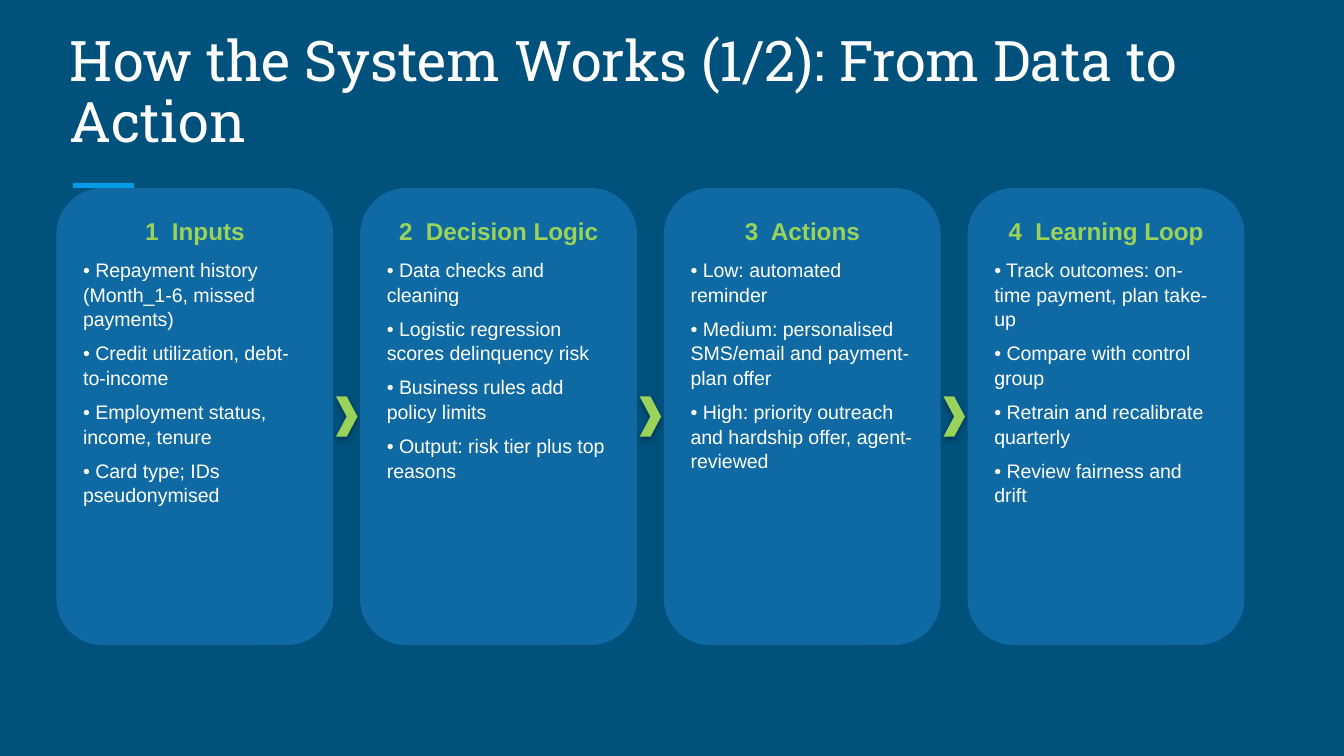
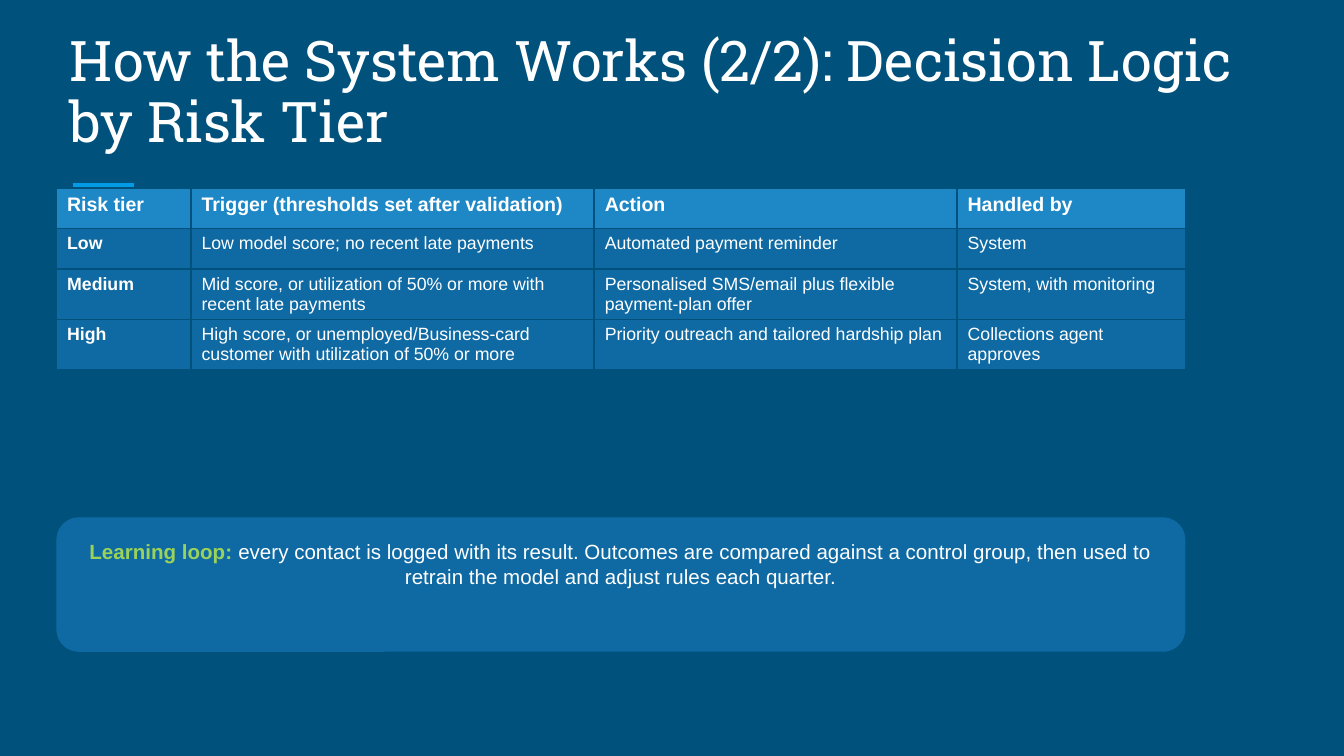
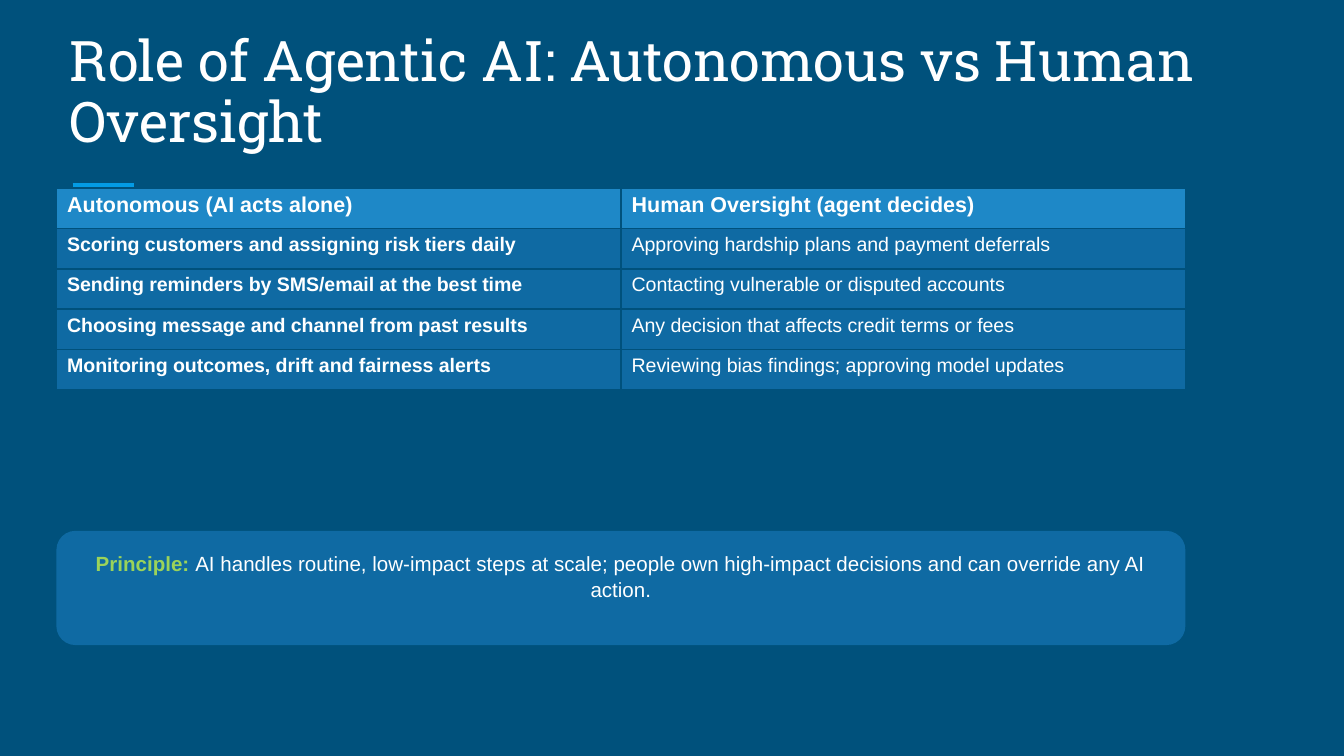
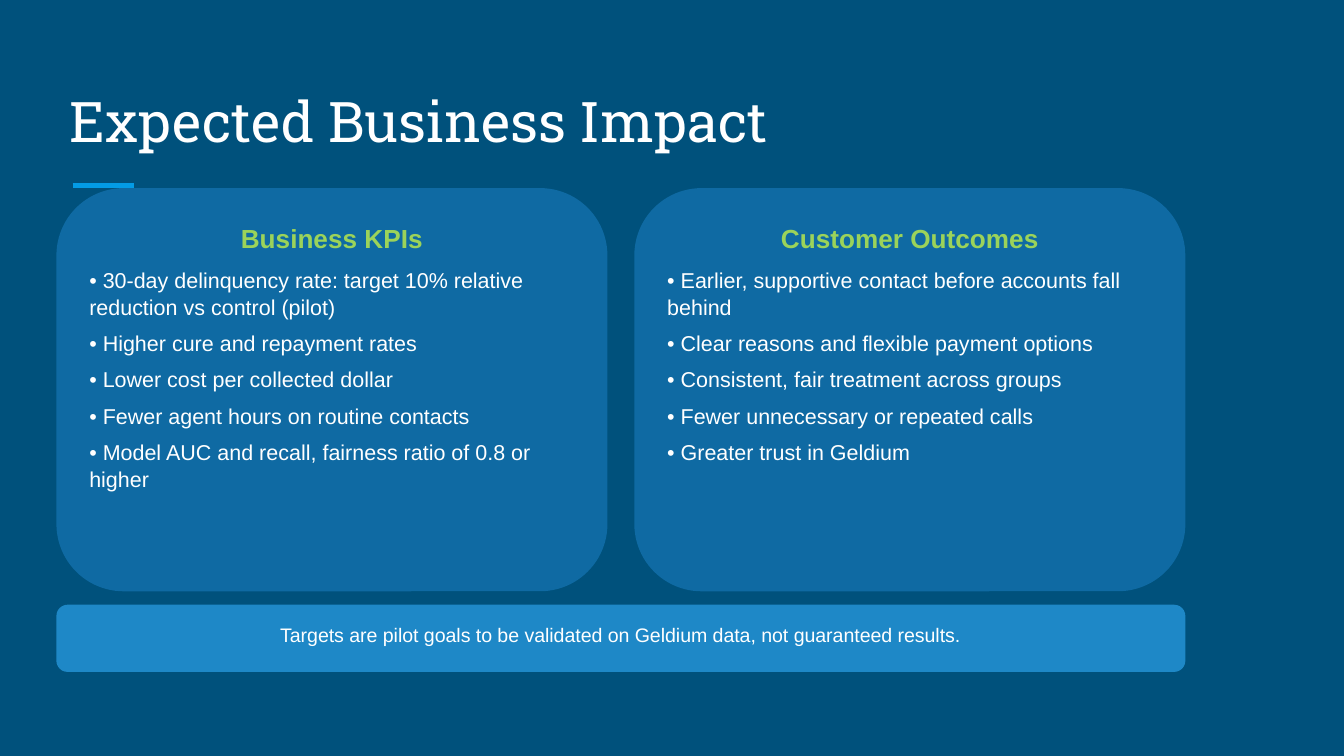
"""Build four slides on a delinquency decision system: flow, tiers, oversight and impact."""
from lxml.etree import SubElement
from pptx import Presentation
from pptx.dml.color import RGBColor
from pptx.enum.shapes import MSO_CONNECTOR, MSO_SHAPE
from pptx.enum.text import MSO_ANCHOR, MSO_AUTO_SIZE, PP_ALIGN
from pptx.oxml.ns import qn
from pptx.util import Inches, Pt

COLORS = {"bg": "00517C", "panel": "0F6AA3", "band": "1E88C7",
          "accent": "039BE5", "lime": "9BD35A", "text": "FFFFFF"}
LEFT, TOP, WIDTH = 0.42, 1.4, 8.4
ROW_H = 0.3

FLOW = [
    ("1  Inputs", ["Repayment history (Month_1-6, missed payments)",
                   "Credit utilization, debt-to-income",
                   "Employment status, income, tenure",
                   "Card type; IDs pseudonymised"]),
    ("2  Decision Logic", ["Data checks and cleaning",
                           "Logistic regression scores delinquency risk",
                           "Business rules add policy limits",
                           "Output: risk tier plus top reasons"]),
    ("3  Actions", ["Low: automated reminder",
                    "Medium: personalised SMS/email and payment-plan offer",
                    "High: priority outreach and hardship offer, agent-reviewed"]),
    ("4  Learning Loop", ["Track outcomes: on-time payment, plan take-up",
                          "Compare with control group",
                          "Retrain and recalibrate quarterly",
                          "Review fairness and drift"]),
]
TIERS = [
    ("Risk tier", "Trigger (thresholds set after validation)", "Action", "Handled by"),
    ("Low", "Low model score; no recent late payments",
     "Automated payment reminder", "System"),
    ("Medium", "Mid score, or utilization of 50% or more with recent late payments",
     "Personalised SMS/email plus flexible payment-plan offer", "System, with monitoring"),
    ("High", "High score, or unemployed/Business-card customer with utilization of 50% or more",
     "Priority outreach and tailored hardship plan", "Collections agent approves"),
]
ROLES = [
    ("Autonomous (AI acts alone)", "Human Oversight (agent decides)"),
    ("Scoring customers and assigning risk tiers daily",
     "Approving hardship plans and payment deferrals"),
    ("Sending reminders by SMS/email at the best time",
     "Contacting vulnerable or disputed accounts"),
    ("Choosing message and channel from past results",
     "Any decision that affects credit terms or fees"),
    ("Monitoring outcomes, drift and fairness alerts",
     "Reviewing bias findings; approving model updates"),
]
IMPACT = [
    ("Business KPIs", ["30-day delinquency rate: target 10% relative reduction vs control (pilot)",
                       "Higher cure and repayment rates",
                       "Lower cost per collected dollar",
                       "Fewer agent hours on routine contacts",
                       "Model AUC and recall, fairness ratio of 0.8 or higher"]),
    ("Customer Outcomes", ["Earlier, supportive contact before accounts fall behind",
                           "Clear reasons and flexible payment options",
                           "Consistent, fair treatment across groups",
                           "Fewer unnecessary or repeated calls",
                           "Greater trust in Geldium"]),
]
SLIDES = [
    {"title": "How the System Works (1/2): From Data to Action",
     "cards": {"items": FLOW, "w": 2.06, "h": 3.4, "sizes": (13, 10.5), "arrows": True}},
    {"title": "How the System Works (2/2): Decision Logic by Risk Tier",
     "table": {"rows": TIERS, "cols": (1, 3, 2.7, 1.7), "sizes": (10.5, 9.5)},
     "note": {"lead": "Learning loop: ", "size": 11, "y": 3.85, "h": 1, "fill": "panel",
              "text": "every contact is logged with its result. Outcomes are compared against "
                      "a control group, then used to retrain the model and adjust rules each quarter."}},
    {"title": "Role of Agentic AI: Autonomous vs Human Oversight",
     "table": {"rows": ROLES, "cols": (4.2, 4.2), "sizes": (11.5, 10.5)},
     "note": {"lead": "Principle: ", "size": 11, "y": 3.95, "h": 0.85, "fill": "panel",
              "text": "AI handles routine, low-impact steps at scale; people own high-impact "
                      "decisions and can override any AI action."}},
    {"title": "Expected Business Impact",
     "cards": {"items": IMPACT, "w": 4.1, "h": 3, "sizes": (14, 11.5), "arrows": False},
     "note": {"lead": "", "size": 10.5, "y": 4.5, "h": 0.5, "fill": "band",
              "text": "Targets are pilot goals to be validated on Geldium data, "
                      "not guaranteed results."}},
]


def rgb(name):
    return RGBColor.from_string(COLORS[name])


def set_all(obj, **values):
    for name, value in values.items():
        setattr(obj, name, value)


def add_run(p, text, size, color="text", bold=False, font="Arial"):
    r = p.add_run()
    r.text = text
    set_all(r.font, name=font, size=Pt(size), bold=bold)
    r.font.color.rgb = rgb(color)


def add_shape(s, kind, x, y, w, h, fill):
    sp = s.shapes.add_shape(kind, *map(Inches, (x, y, w, h)))
    sp.fill.solid()
    sp.fill.fore_color.rgb = rgb(fill)
    sp.line.fill.background()
    return sp


def add_panel(s, x, y, w, h, fill, paragraphs):
    sp = add_shape(s, MSO_SHAPE.ROUNDED_RECTANGLE, x, y, w, h, fill)
    sp.shadow.inherit = False
    tf = sp.text_frame
    pad = Inches(0.1)
    set_all(tf, word_wrap=True, vertical_anchor=MSO_ANCHOR.TOP, margin_left=pad,
            margin_right=pad, margin_top=pad, margin_bottom=pad)
    for i, (align, after, runs) in enumerate(paragraphs):
        p = tf.add_paragraph() if i else tf.paragraphs[0]
        set_all(p, alignment=align, space_after=Pt(after), line_spacing=1.05)
        for run in runs:
            add_run(p, *run)


def add_cards(s, items, w, h, sizes, arrows):
    gap, arrow_w, arrow_h = 0.2, 0.16, 0.3
    head, body = sizes
    for i, (name, points) in enumerate(items):
        x = LEFT + i * (w + gap)
        if arrows and i:
            add_shape(s, MSO_SHAPE.CHEVRON, x - (gap + arrow_w) / 2,
                      TOP + (h - arrow_h) / 2, arrow_w, arrow_h, "lime")
        paragraphs = [(PP_ALIGN.CENTER, 6, [(name, head, "lime", True)])]
        paragraphs += [(PP_ALIGN.LEFT, 5, [("• " + point, body)]) for point in points]
        add_panel(s, x, TOP, w, h, "panel", paragraphs)


def add_borders(cell):
    tc_pr = cell._tc.get_or_add_tcPr()
    for side in ("lnL", "lnR", "lnT", "lnB"):
        ln = SubElement(tc_pr, qn("a:" + side), w=str(Pt(1)))
        SubElement(SubElement(ln, qn("a:solidFill")), qn("a:srgbClr"), val=COLORS["bg"])


def add_table(s, rows, cols, sizes):
    box = (LEFT, TOP, WIDTH, ROW_H * len(rows))
    table = s.shapes.add_table(len(rows), len(cols), *map(Inches, box)).table
    for col, w in zip(table.columns, cols):
        col.width = Inches(w)
    for i, row in enumerate(rows):
        table.rows[i].height = Inches(ROW_H)
        for j, text in enumerate(row):
            cell = table.cell(i, j)
            set_all(cell, margin_left=Inches(0.08), margin_right=Inches(0.08),
                    margin_top=Inches(0.04), margin_bottom=Inches(0.04))
            add_borders(cell)
            cell.fill.solid()
            cell.fill.fore_color.rgb = rgb("panel" if i else "band")
            add_run(cell.text_frame.paragraphs[0], text, sizes[min(i, 1)],
                    bold=i == 0 or j == 0)


def add_note(s, lead, text, size, y, h, fill):
    runs = [(lead, size, "lime", True)] if lead else []
    runs.append((text, size))
    add_panel(s, LEFT, y, WIDTH, h, fill, [(PP_ALIGN.CENTER, 4, runs)])


def add_title(s, text):
    rule = s.shapes.add_connector(MSO_CONNECTOR.STRAIGHT,
                                  *map(Inches, (0.54, 1.38, 1, 1.38)))
    rule.line.color.rgb = rgb("accent")
    rule.line.width = Pt(3)
    SubElement(rule._element.spPr, qn("a:effectLst"))
    sp = s.shapes.title
    set_all(sp, left=Inches(LEFT), top=Inches(0.5), width=Inches(9.15), height=Inches(0.75))
    tf = sp.text_frame
    pad = Inches(0.1)
    set_all(tf, word_wrap=True, auto_size=MSO_AUTO_SIZE.NONE,
            vertical_anchor=MSO_ANCHOR.BOTTOM, margin_left=pad, margin_right=pad,
            margin_top=pad, margin_bottom=pad)
    p = tf.paragraphs[0]
    set_all(p, alignment=PP_ALIGN.LEFT, line_spacing=0.9)
    add_run(p, text, 30, font="Roboto Slab")


def main():
    prs = Presentation()
    prs.slide_width = Inches(10)
    prs.slide_height = prs.slide_width * 9 // 16
    fill = prs.slide_master.background.fill
    fill.solid()
    fill.fore_color.rgb = rgb("bg")
    builders = {"cards": add_cards, "table": add_table, "note": add_note}
    for content in SLIDES:
        s = prs.slides.add_slide(prs.slide_layouts[5])
        add_title(s, content["title"])
        for part, build in builders.items():
            if part in content:
                build(s, **content[part])
    prs.save("out.pptx")


if __name__ == "__main__":
    main()
